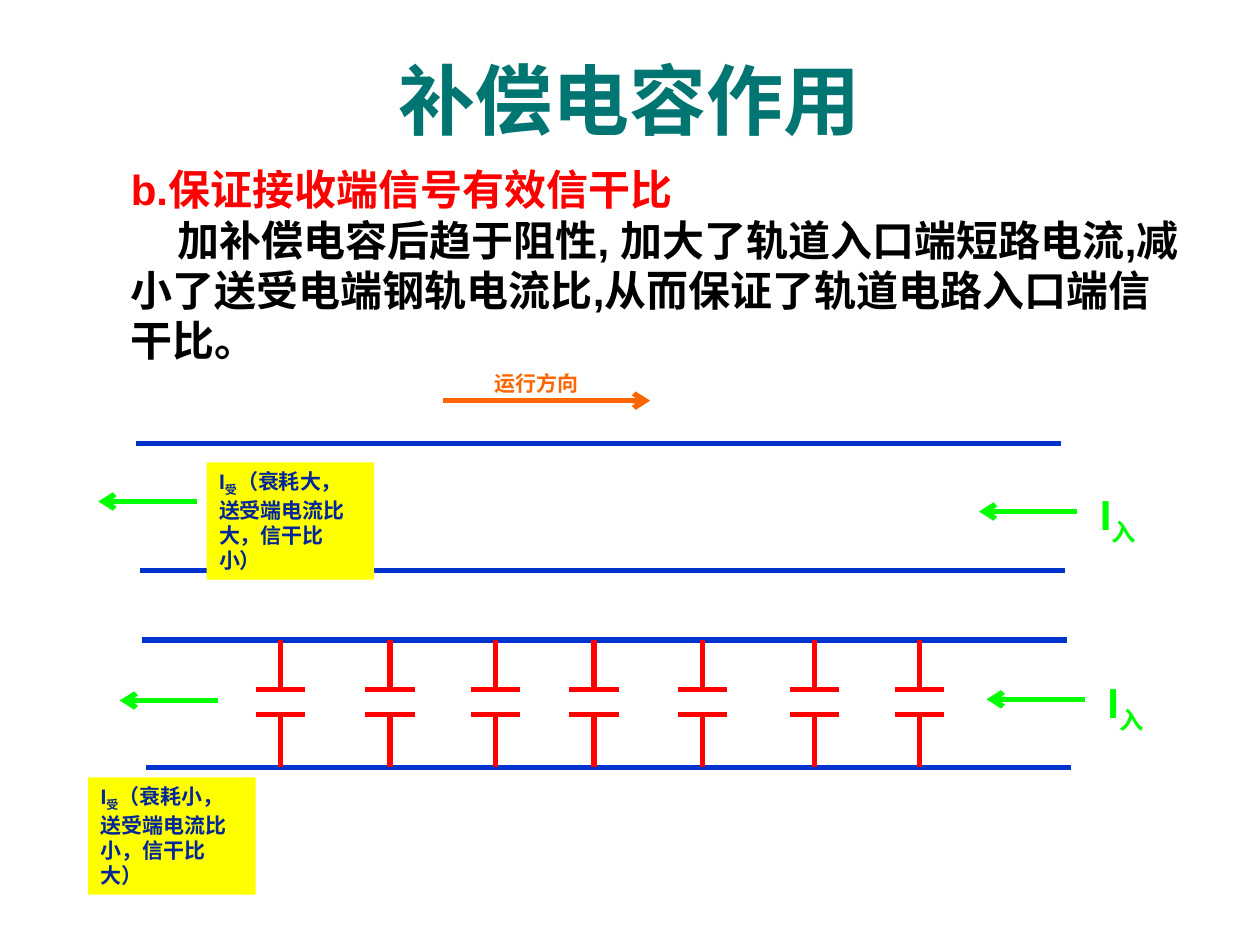
from pptx import Presentation
from pptx.dml.color import RGBColor
from pptx.enum.shapes import MSO_CONNECTOR, MSO_SHAPE
from pptx.enum.text import MSO_ANCHOR, PP_ALIGN
from pptx.oxml.ns import qn
from pptx.util import Inches, Pt
from lxml.etree import SubElement

COLORS = {
    "title": "007572", "heading": "FF0000", "body": "000000",
    "rail": "0033CC", "capacitor": "FF0000", "current": "00FF00",
    "note_fill": "FFFF00", "note_text": "002699", "direction": "FF6600",
}
CAPACITOR_LEFTS = (0.9, 1.77, 2.61, 3.39, 4.25, 5.14, 5.97)
RAIL_LENGTH, RAIL_GAP, RAIL_SHIFT = 7.34, 1.01, 0.03
ARROW_LENGTH = 0.78


def color(name):
    return RGBColor.from_string(COLORS[name])


def add_span(para, text, size, color_name, subscript=False):
    span = para.add_run()
    span.text = text
    for key, value in {"name": "Arial", "size": Pt(size), "bold": True}.items():
        setattr(span.font, key, value)
    span.font.color.rgb = color(color_name)
    if subscript:
        span.font._element.set("baseline", "-25000")


def set_frame(shape, anchor=MSO_ANCHOR.TOP):
    frame = shape.text_frame
    settings = {
        "word_wrap": True, "vertical_anchor": anchor,
        "margin_left": Inches(0.1), "margin_right": Inches(0.1),
        "margin_top": Inches(0.05), "margin_bottom": Inches(0.05),
    }
    for key, value in settings.items():
        setattr(frame, key, value)
    return frame


def add_text_box(page, left, top, width, height):
    box = page.shapes.add_textbox(*map(Inches, (left, top, width, height)))
    return set_frame(box)


def add_line(page, start, end, color_name, arrow=False):
    line = page.shapes.add_connector(
        MSO_CONNECTOR.STRAIGHT, *map(Inches, (*start, *end)))
    line.line.color.rgb = color(color_name)
    line.line.width = Pt(3)
    if arrow:
        SubElement(line.line._get_or_add_ln(), qn("a:tailEnd"), type="arrow")
    SubElement(line._element.spPr, qn("a:effectLst"))


def add_title(page, left, top, width, height):
    title = page.shapes.title
    box = {"left": left, "top": top, "width": width, "height": height}
    for key, value in box.items():
        setattr(title, key, Inches(value))
    para = set_frame(title, MSO_ANCHOR.MIDDLE).paragraphs[0]
    para.alignment = PP_ALIGN.CENTER
    add_span(para, "补偿电容作用", 44, "title")


def add_explanation(page, left, top, width, height):
    frame = add_text_box(page, left, top, width, height)
    add_span(frame.paragraphs[0], "b.保证接收端信号有效信干比", 24, "heading")
    para = frame.add_paragraph()
    para._p.get_or_add_pPr().set("indent", str(Inches(0.37)))
    add_span(para, "加补偿电容后趋于阻性, 加大了轨道入口端短路电流,"
             "减小了送受电端钢轨电流比,从而保证了轨道电路入口端信干比。",
             24, "body")


def add_direction(page, left, top):
    add_line(page, (left, top + 0.29), (left + 1.64, top + 0.29),
             "direction", arrow=True)
    frame = add_text_box(page, left + 0.31, top, 1.17, 0.3)
    add_span(frame.paragraphs[0], "运行方向", 12, "direction")


def add_rails(page, left, top):
    for row in range(2):
        x, y = left + row * RAIL_SHIFT, top + row * RAIL_GAP
        add_line(page, (x, y), (x + RAIL_LENGTH, y), "rail")


def add_capacitor(page, left, top):
    plate, center = 0.39, left + 0.195
    for y in (top + 0.39, top + 0.59):
        add_line(page, (left, y), (left + plate, y), "capacitor")
    for start, end in ((0, 0.39), (0.6, RAIL_GAP)):
        add_line(page, (center, top + start), (center, top + end), "capacitor")


def add_current(page, right, y):
    add_line(page, (right, y), (right - ARROW_LENGTH, y), "current", arrow=True)


def add_inlet(page, right, y):
    add_current(page, right, y)
    para = add_text_box(page, right + 0.08, y - 0.23, 0.78, 0.56).paragraphs[0]
    add_span(para, "I", 24, "current")
    add_span(para, "入", 24, "current", subscript=True)


def add_note(page, left, top, text):
    note = page.shapes.add_shape(
        MSO_SHAPE.RECTANGLE, *map(Inches, (left, top, 1.33, 0.93)))
    note.shadow.inherit = False
    note.fill.solid()
    note.fill.fore_color.rgb = color("note_fill")
    note.line.fill.background()
    para = set_frame(note).paragraphs[0]
    para.alignment = PP_ALIGN.LEFT
    add_span(para, "I", 12, "note_text")
    add_span(para, "受", 12, "note_text", subscript=True)
    add_span(para, text, 12, "note_text")


def main():
    deck = Presentation()
    deck.slide_width, deck.slide_height = Inches(10), Inches(7.5)
    page = deck.slides.add_slide(deck.slide_layouts[5])

    # Title and explanation
    add_title(page, 1.95, 0.16, 6.09, 1.25)
    add_explanation(page, 0.94, 1.25, 8.59, 1.7)
    add_direction(page, 3.52, 2.89)

    # Track without compensation
    add_rails(page, 1.08, 3.52)
    add_inlet(page, 8.55, 4.06)
    add_current(page, 1.56, 3.98)
    add_note(page, 1.64, 3.67, "（衰耗大，送受端电流比大，信干比小）")

    # Track with compensating capacitors
    add_rails(page, 1.13, 5.08)
    for offset in CAPACITOR_LEFTS:
        add_capacitor(page, 1.13 + offset, 5.08)
    add_inlet(page, 8.61, 5.55)
    add_current(page, 1.73, 5.56)
    add_note(page, 0.7, 6.17, "（衰耗小，送受端电流比小，信干比大）")

    deck.save("out.pptx")


if __name__ == "__main__":
    main()
